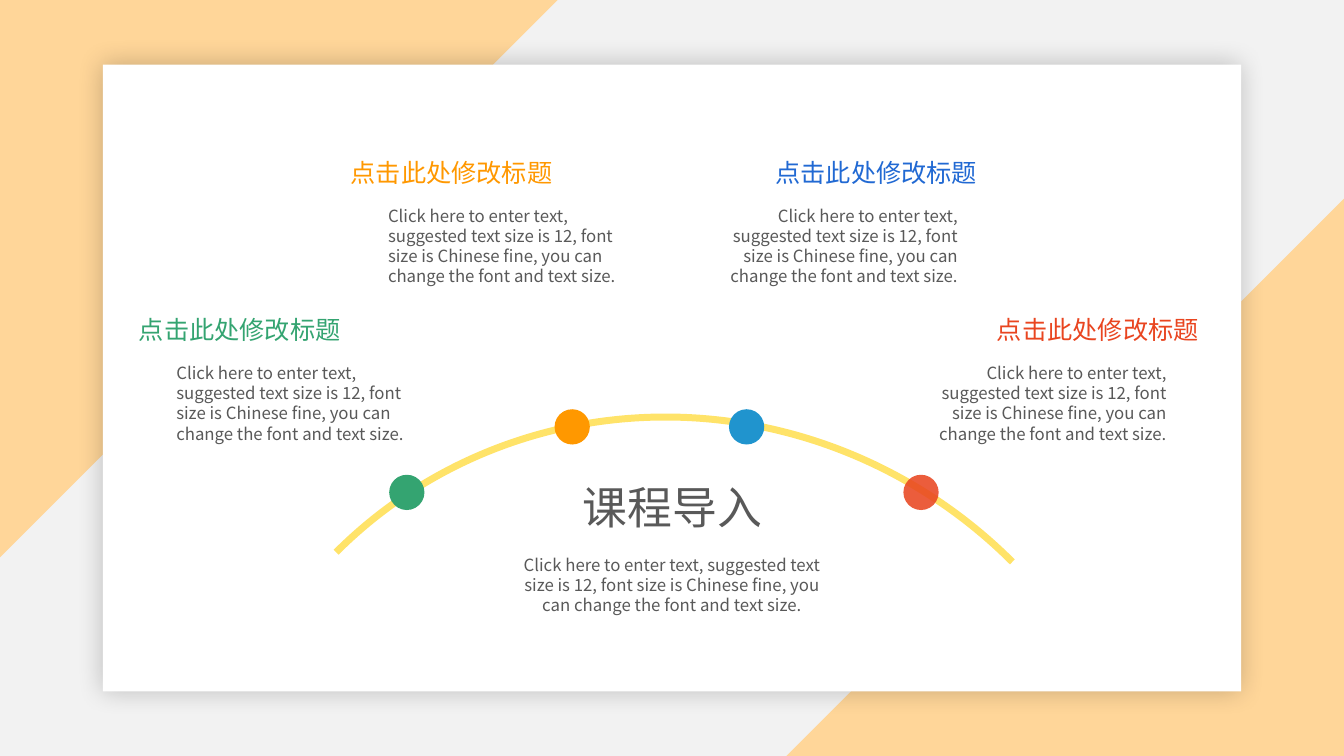
from lxml import etree
from pptx import Presentation
from pptx import util as u
from pptx.dml.color import RGBColor
from pptx.enum import shapes, text
from pptx.oxml import ns

GREY = RGBColor(0xF2, 0xF2, 0xF2)
PEACH = RGBColor(0xFF, 0xD6, 0x99)
WHITE = RGBColor(0xFF, 0xFF, 0xFF)
BLACK = RGBColor(0x00, 0x00, 0x00)
YELLOW = RGBColor(0xFF, 0xD1, 0x00)
INK = RGBColor(0x59, 0x59, 0x59)
GREEN = RGBColor(0x34, 0xA4, 0x71)
ORANGE = RGBColor(0xFF, 0x98, 0x00)
SKY = RGBColor(0x20, 0x94, 0xCE)
BLUE = RGBColor(0x21, 0x69, 0xD3)
RED = RGBColor(0xE9, 0x45, 0x20)

LEFT, CENTER, RIGHT = text.PP_ALIGN.LEFT, text.PP_ALIGN.CENTER, text.PP_ALIGN.RIGHT
KIND = shapes.MSO_SHAPE
HEADING = "点击此处修改标题"
BODY = ("Click here to enter text, suggested text size is 12, font size is "
        "Chinese fine, you can change the font and text size.")


def write(box, words, size=12, color=INK, align=LEFT, font="Noto Sans CJK SC"):
    frame = box.text_frame
    frame.word_wrap = True
    frame.auto_size = text.MSO_AUTO_SIZE.NONE
    frame.vertical_anchor = text.MSO_ANCHOR.TOP
    para = frame.paragraphs[0]
    para.alignment = align
    para.line_spacing = 1.0
    span = para.add_run()
    span.text = words
    span.font.size = u.Pt(size)
    span.font.color.rgb = color
    span.font.name = font
    east = etree.SubElement(span.font._element, ns.qn("a:ea"))
    east.set("typeface", font)


class Painter:
    """Holds the text style and the current slide, and draws its elements."""

    def __init__(self, page):
        self.page = page

    def shape(self, kind, left, top, width, height, fill=None, turn=0, opacity=100):
        item = self.page.shapes.add_shape(kind, *map(u.Inches, (left, top, width, height)))
        item.shadow.inherit = False
        item.rotation = turn
        item.line.fill.background()
        if fill is None:
            item.fill.background()
        else:
            item.fill.solid()
            item.fill.fore_color.rgb = fill
            self.fade(item, opacity)
        return item

    def fade(self, item, opacity):
        if opacity < 100:
            color = next(item.element.spPr.iter(ns.qn("a:srgbClr")))
            etree.SubElement(color, ns.qn("a:alpha")).set("val", str(opacity * 1000))

    def glow(self, item, blur, opacity):
        effects = item.element.spPr.find(ns.qn("a:effectLst"))
        shadow = etree.SubElement(effects, ns.qn("a:outerShdw"), blurRad=str(u.Pt(blur)),
                                  dist="0", algn="ctr", rotWithShape="0")
        color = etree.SubElement(shadow, ns.qn("a:srgbClr"), val=str(BLACK))
        etree.SubElement(color, ns.qn("a:alpha"), val=str(opacity * 1000))

    def arc(self, left, top, width, height, color, weight, turn, opacity):
        item = self.shape(KIND.ARC, left, top, width, height, turn=turn)
        item.line.color.rgb = color
        item.line.width = u.Pt(weight)
        self.fade(item, opacity)

    def title(self, words, left, top, width, height, **style):
        box = self.page.shapes.title
        box.left, box.top, box.width, box.height = map(u.Inches, (left, top, width, height))
        box.element.getparent().append(box.element)
        write(box, words, **style)

    def label(self, words, left, top, width, height, **style):
        box = self.page.shapes.add_textbox(*map(u.Inches, (left, top, width, height)))
        write(box, words, **style)


def main():
    deck = Presentation()
    deck.slide_width, deck.slide_height = u.Inches(13.33), u.Inches(7.5)
    painter = Painter(deck.slides.add_slide(deck.slide_layouts[5]))

    painter.shape(KIND.RECTANGLE, 0, 0, 13.33, 7.5, GREY)
    painter.shape(KIND.RIGHT_TRIANGLE, 0, 0, 5.53, 5.53, PEACH, turn=90)
    painter.shape(KIND.RIGHT_TRIANGLE, 7.8, 1.97, 5.53, 5.53, PEACH, turn=270)
    card = painter.shape(KIND.RECTANGLE, 1.02, 0.64, 11.29, 6.22, WHITE)
    painter.glow(card, blur=19, opacity=22)

    painter.arc(2.06, 4.07, 9.35, 9.62, YELLOW, weight=5, turn=315, opacity=58)
    painter.title("课程导入", 5.28, 4.71, 2.78, 0.64, size=32, align=CENTER)

    for left, top, color, opacity in (
        (3.86, 4.71, GREEN, 100),
        (5.5, 4.06, ORANGE, 100),
        (7.23, 4.06, SKY, 100),
        (8.96, 4.71, RED, 87),
    ):
        painter.shape(KIND.OVAL, left, top, 0.35, 0.35, color, opacity=opacity)

    for top, heading_left, body_left, color, heading_align, body_align in (
        (3.07, 1.28, 1.65, GREEN, LEFT, LEFT),
        (1.51, 3.38, 3.75, ORANGE, LEFT, LEFT),
        (1.51, 7.43, 6.89, BLUE, RIGHT, RIGHT),
        (3.07, 9.79, 8.96, RED, LEFT, RIGHT),
    ):
        painter.label(HEADING, heading_left, top, 2.36, 0.4,
                      size=18, color=color, align=heading_align)
        painter.label(BODY, body_left, top + 0.48, 2.71, 0.91, align=body_align)
    painter.label(BODY, 5, 5.45, 3.33, 0.71, align=CENTER)

    deck.save("out.pptx")


if __name__ == "__main__":
    main()
